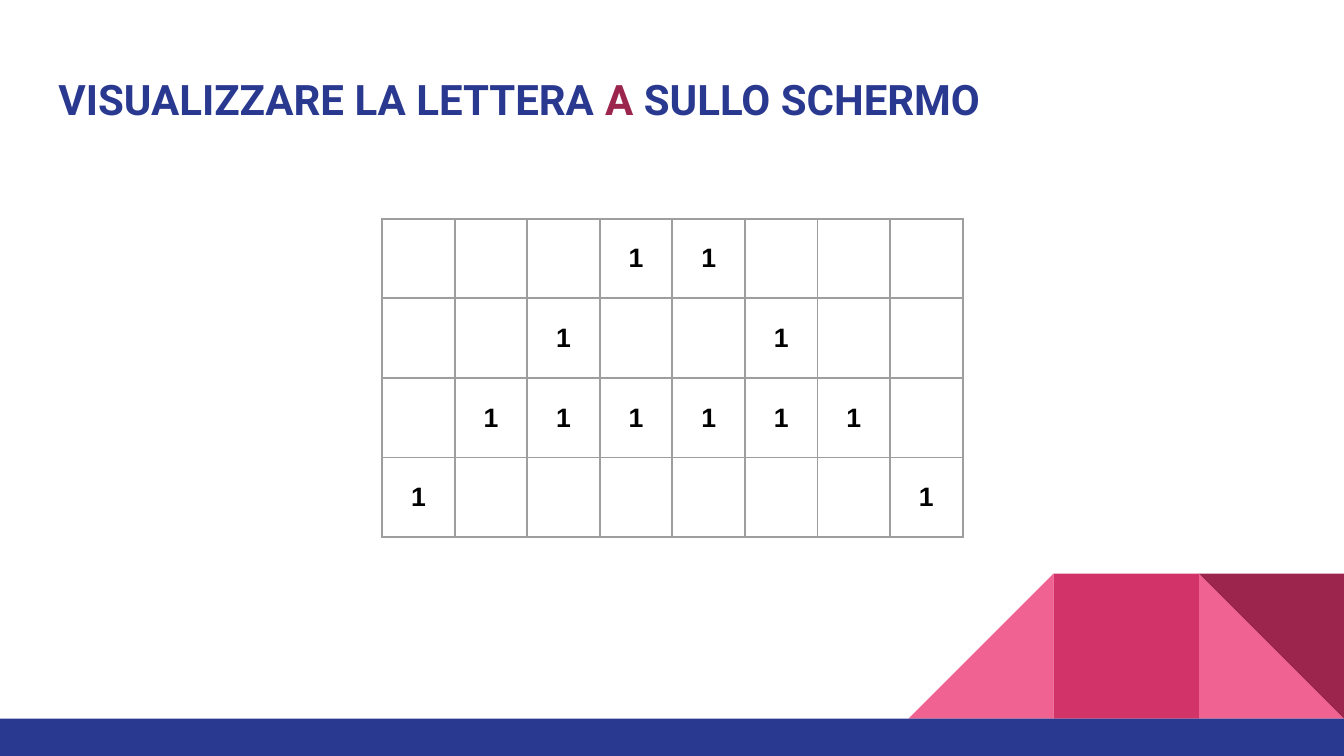
from lxml import etree
from pptx import Presentation
from pptx import util as u
from pptx.dml.color import RGBColor
from pptx.enum import shapes, text
from pptx.oxml import ns

BLUE, PINK, ROSE, WINE = "2A3990", "F06292", "D23369", "9C254D"
GREY, BLACK, WHITE = "9E9E9E", "000000", "FFFFFF"
LETTER_ROWS = ["00011000", "00100100", "01111110", "10000001"]


def colour(value):
    return RGBColor.from_string(value)


class SlideBuilder:
    inset = u.Inches(0.13)
    title_font = "Roboto"
    cell_font = "Arial"

    def __init__(self, deck):
        self.slide = deck.slides.add_slide(deck.slide_layouts[5])
        self.slide.background.fill.solid()
        self.slide.background.fill.fore_color.rgb = colour(WHITE)

    def set_insets(self, target):
        target.margin_left = target.margin_right = self.inset
        target.margin_top = target.margin_bottom = self.inset

    def set_font(self, para, name, size):
        para.font.name = name
        para.font.size = u.Pt(size)
        para.font.bold = True

    def title(self, left, top, width, height, spans):
        box = self.slide.shapes.title
        box.left, box.top = u.Inches(left), u.Inches(top)
        box.width, box.height = u.Inches(width), u.Inches(height)
        frame = box.text_frame
        frame.word_wrap = True
        frame.auto_size = text.MSO_AUTO_SIZE.NONE
        frame.vertical_anchor = text.MSO_ANCHOR.TOP
        self.set_insets(frame)
        para = frame.paragraphs[0]
        para.alignment = text.PP_ALIGN.LEFT
        self.set_font(para, self.title_font, 30)
        for wording, tint in spans:
            span = para.add_run()
            span.text = wording
            span.font.color.rgb = colour(tint)

    def shape(self, kind, left, top, width, height, fill, rotation=0):
        box = self.slide.shapes.add_shape(
            kind, u.Inches(left), u.Inches(top), u.Inches(width), u.Inches(height))
        box.shadow.inherit = False
        box.fill.solid()
        box.fill.fore_color.rgb = colour(fill)
        box.line.fill.background()
        box.rotation = rotation

    def border(self, cell):
        properties = cell._tc.get_or_add_tcPr()
        for side in ("a:lnL", "a:lnR", "a:lnT", "a:lnB"):
            line = etree.SubElement(properties, ns.qn(side), w=str(u.Pt(1.5)))
            fill = etree.SubElement(line, ns.qn("a:solidFill"))
            etree.SubElement(fill, ns.qn("a:srgbClr"), val=GREY)

    def bit_table(self, left, top, cell_width, cell_height, rows):
        columns = len(rows[0])
        table = self.slide.shapes.add_table(
            len(rows), columns, u.Inches(left), u.Inches(top),
            u.Inches(cell_width * columns), u.Inches(cell_height * len(rows))).table
        table.first_row = table.horz_banding = False
        for column in table.columns:
            column.width = u.Inches(cell_width)
        for row, bits in zip(table.rows, rows):
            row.height = u.Inches(cell_height)
            for cell, bit in zip(row.cells, bits):
                self.border(cell)
                cell.fill.background()
                cell.vertical_anchor = text.MSO_ANCHOR.MIDDLE
                self.set_insets(cell)
                if bit == "1":
                    cell.text = bit
                    para = cell.text_frame.paragraphs[0]
                    para.alignment = text.PP_ALIGN.CENTER
                    self.set_font(para, self.cell_font, 19)
                    para.font.color.rgb = colour(BLACK)


def main():
    deck = Presentation()
    deck.slide_width, deck.slide_height = u.Inches(13.33), u.Inches(7.5)
    page = SlideBuilder(deck)

    triangle = shapes.MSO_SHAPE.RIGHT_TRIANGLE
    rectangle = shapes.MSO_SHAPE.RECTANGLE
    side, band_top = 1.44, 7.13
    tiles = [
        (triangle, 11.89, PINK, 0),
        (triangle, 9.01, PINK, 270),
        (rectangle, 10.45, ROSE, 0),
        (triangle, 11.89, WINE, 180),
    ]
    for kind, left, fill, rotation in tiles:
        page.shape(kind, left, band_top - side, side, side, fill, rotation)
    page.shape(rectangle, 0, band_top, 13.33, 0.37, BLUE)

    page.title(0.45, 0.6, 12.42, 0.89, [
        ("VISUALIZZARE LA LETTERA ", BLUE),
        ("A", WINE),
        (" SULLO SCHERMO", BLUE),
    ])
    page.bit_table(3.79, 2.17, 0.72, 0.79, LETTER_ROWS)
    deck.save("out.pptx")


if __name__ == "__main__":
    main()
